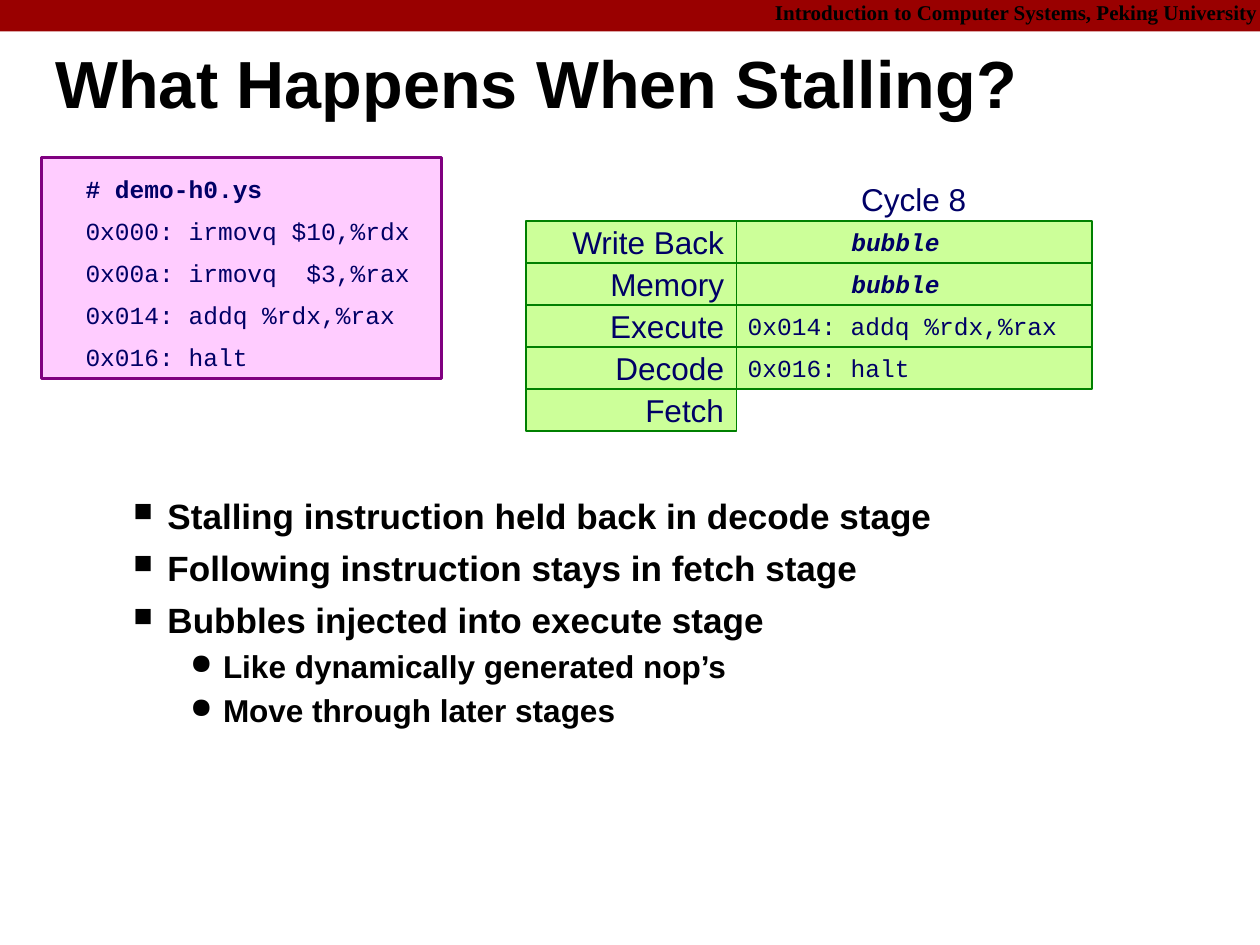
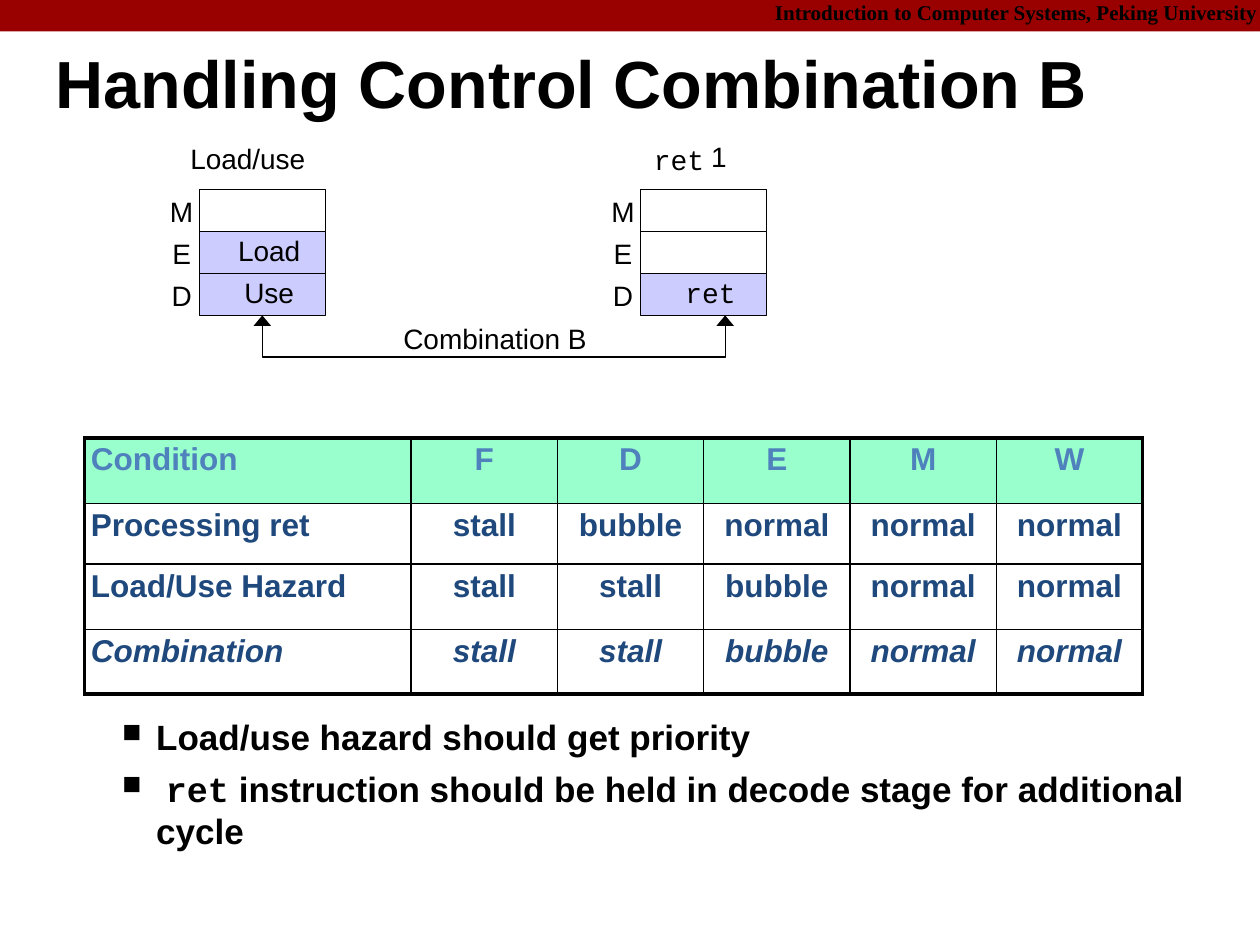
from dataclasses import dataclass
from typing import NamedTuple

import pptx
import pptx.util
from lxml import etree
from pptx.dml.color import RGBColor
from pptx.enum.shapes import MSO_SHAPE
from pptx.enum.text import MSO_ANCHOR, PP_ALIGN
from pptx.oxml.ns import qn

Inches = pptx.util.Inches
Pt = pptx.util.Pt
LEFT, MID, RIGHT = PP_ALIGN.LEFT, PP_ALIGN.CENTER, PP_ALIGN.RIGHT


# Theme
@dataclass(frozen=True)
class Theme:
    sans: str = "Arial"
    mono: str = "Courier New"
    serif: str = "Times New Roman"
    black: str = "000000"
    white: str = "FFFFFF"
    band: str = "990000"
    navy: str = "000066"
    pink: str = "FFCCFF"
    plum: str = "800080"
    lime: str = "CCFF99"
    green: str = "008000"
    lilac: str = "CCCCFF"
    mint: str = "99FFCC"
    blue: str = "4F81BD"
    deep: str = "1F497D"
    title: float = 38
    body: float = 20
    sub: float = 18
    label: float = 16
    code: float = 14
    head: float = 12


T = Theme()


class Box(NamedTuple):
    x: float
    y: float
    w: float
    h: float


class Style(NamedTuple):
    size: float
    color: str = T.black
    face: str = T.sans
    bold: bool = False
    slant: bool = False
    lines: float = 1.0


class Level(NamedTuple):
    left: float
    hang: float
    mark: str
    scale: int
    before: float
    style: Style


class Item(NamedTuple):
    level: Level
    runs: list[tuple[str, str]]


class Stage(NamedTuple):
    name: str
    text: str
    fill: str = T.white


HEAD = Style(T.head, face=T.serif, bold=True, lines=0.9)
TITLE = Style(T.title, bold=True, lines=0.87)
CODE = Style(T.code, T.navy, T.mono)
STAGE = Style(T.sub, T.navy)
LABEL = Style(T.label, lines=0.9)
MONO = LABEL._replace(face=T.mono)
ONE = Level(0.81, 0.27, "■", 75, 5.75, Style(T.body, bold=True))
TWO = Level(1.25, 0.26, "●", 90, 2, Style(T.sub, bold=True, lines=1.07))


# Shared drawing tools
def rgb(color: str) -> RGBColor:
    return RGBColor.from_string(color)


def place(box: Box) -> list[int]:
    return [Inches(v) for v in box]


def dress(para, style: Style, align=LEFT) -> None:
    para.alignment = align
    para.line_spacing = style.lines
    font = para.font
    font.name, font.size = style.face, Pt(style.size)
    font.bold, font.italic = style.bold, style.slant
    font.color.rgb = rgb(style.color)


def write(shape, text: str, style: Style, align=LEFT, left: float = 0.1,
          right: float = 0.1, anchor=MSO_ANCHOR.MIDDLE) -> None:
    frame = shape.text_frame
    frame.word_wrap = True
    frame.vertical_anchor = anchor
    frame.margin_left, frame.margin_right = Inches(left), Inches(right)
    frame.margin_top = frame.margin_bottom = 0
    para = frame.paragraphs[0]
    para.text = text
    dress(para, style, align)


def note(slide, box: Box, text: str, style: Style, align=LEFT, **more) -> None:
    write(slide.shapes.add_textbox(*place(box)), text, style, align, **more)


def label(slide, box: Box, text: str, style: Style = LABEL) -> None:
    note(slide, box, text, style, MID, left=0, right=0, anchor=MSO_ANCHOR.TOP)


def rect(slide, box: Box, fill: str, line: str = "", width: float = 1):
    shape = slide.shapes.add_shape(MSO_SHAPE.RECTANGLE, *place(box))
    shape.shadow.inherit = False
    shape.fill.solid()
    shape.fill.fore_color.rgb = rgb(fill)
    if line:
        shape.line.color.rgb = rgb(line)
        shape.line.width = Pt(width)
    else:
        shape.line.fill.background()
    return shape


def bullets(slide, box: Box, items: list[Item]) -> None:
    frame = slide.shapes.add_textbox(*place(box)).text_frame
    frame.word_wrap = True
    for i, (level, runs) in enumerate(items):
        para = frame.add_paragraph() if i else frame.paragraphs[0]
        props = para._p.get_or_add_pPr()
        props.set("marL", str(Inches(level.left)))
        props.set("indent", str(-Inches(level.hang)))
        etree.SubElement(props, qn("a:buSzPct")).set("val", str(level.scale * 1000))
        etree.SubElement(props, qn("a:buChar")).set("char", level.mark)
        dress(para, level.style)
        if i:
            para.space_before = Pt(level.before)
        for text, face in runs:
            run = para.add_run()
            run.text = text
            if face != level.style.face:
                run.font.name = face


def start(deck, title: str):
    slide = deck.slides.add_slide(deck.slide_layouts[6])
    rect(slide, Box(0, 0, 10, 0.25), T.band)
    note(slide, Box(5.8, -0.03, 4.27, 0.28),
         "Introduction to Computer Systems, Peking University", HEAD, RIGHT)
    note(slide, Box(0.44, 0.27, 9.52, 0.85), title, TITLE, left=0, right=0)
    return slide


# Slide 1: stalling
def stall(deck) -> None:
    slide = start(deck, "What Happens When Stalling?")
    bullets(slide, Box(0.42, 3.87, 9.07, 2.8), [
        Item(ONE, [("Stalling instruction held back in decode stage", T.sans)]),
        Item(ONE, [("Following instruction stays in fetch stage", T.sans)]),
        Item(ONE, [("Bubbles injected into execute stage", T.sans)]),
        Item(TWO, [("Like dynamically generated nop’s", T.sans)]),
        Item(TWO, [("Move through later stages", T.sans)]),
    ])
    step = 1 / 3

    # Program listing
    rect(slide, Box(0.33, 1.25, 3.17, 1.75), T.pink, T.plum, 1.5)
    code = ["# demo-h0.ys", "0x000: irmovq $10,%rdx", "0x00a: irmovq  $3,%rax",
            "0x014: addq %rdx,%rax", "0x016: halt"]
    for i, text in enumerate(code):
        note(slide, Box(0.58, 1.33 + i * step, 2.83, step), text,
             CODE._replace(bold=i == 0))

    # Pipeline stages and what each one holds
    note(slide, Box(5.83, 1.41, 2.83, step), "Cycle 8", STAGE, MID)
    stages = [Stage("Write Back", "bubble"), Stage("Memory", "bubble"),
              Stage("Execute", "0x014: addq %rdx,%rax"),
              Stage("Decode", "0x016: halt"), Stage("Fetch", "")]
    for i, stage in enumerate(stages):
        y = 1.75 + i * step
        if stage.text:
            cell = rect(slide, Box(5.83, y, 2.83, step), T.lime, T.green)
            bub = stage.text == "bubble"
            write(cell, stage.text, CODE._replace(bold=bub, slant=bub),
                  left=0.92 if bub else 0.1)
        name = rect(slide, Box(4.17, y, 1.67, step), T.lime, T.green)
        write(name, stage.name, STAGE, RIGHT)


# Slide 2: combination of hazards
def stack(slide, x: float, style: Style, stages: list[Stage]) -> None:
    step = 1 / 3
    for i, stage in enumerate(stages):
        cell = rect(slide, Box(x, 1.5 + i * step, 1, step), stage.fill, T.black, 0.75)
        if stage.text:
            write(cell, stage.text, style, MID, left=0.11, right=0)
        label(slide, Box(x - 0.28, 1.57 + i * step, 0.28, 0.3), stage.name)


def link(slide, points: list[tuple[float, float]]) -> None:
    spots = [(Inches(x), Inches(y)) for x, y in points]
    pen = slide.shapes.build_freeform(*spots[0])
    pen.add_line_segments(spots[1:], close=False)
    shape = pen.convert_to_shape()
    shape.shadow.inherit = False
    shape.fill.background()
    shape.line.color.rgb = rgb(T.black)
    shape.line.width = Pt(0.75)
    for end in ("a:headEnd", "a:tailEnd"):
        tip = etree.SubElement(shape.line._get_or_add_ln(), qn(end))
        for key, value in (("type", "triangle"), ("w", "lg"), ("len", "med")):
            tip.set(key, value)


def edge(cell, side: str, width: float) -> None:
    line = etree.SubElement(cell._tc.get_or_add_tcPr(), qn("a:ln" + side))
    line.set("w", str(Pt(width)))
    fill = etree.SubElement(line, qn("a:solidFill"))
    etree.SubElement(fill, qn("a:srgbClr")).set("val", T.black)


def grid(slide, box: Box, wide: list[float], high: list[float],
         rows: list[list[str]]) -> None:
    table = slide.shapes.add_table(len(high), len(wide), *place(box)).table
    table.first_row = table.horz_banding = False
    for col, width in zip(table.columns, wide):
        col.width = Inches(width)
    last, end = len(high) - 1, len(wide) - 1
    for r, (row, texts) in enumerate(zip(table.rows, rows)):
        row.height = Inches(high[r])
        style = Style(T.sub, T.deep if r else T.blue, bold=True,
                      slant=r == last, lines=0.95)
        for c, (cell, text) in enumerate(zip(row.cells, texts)):
            outer = {"L": c == 0, "R": c == end, "T": r == 0, "B": r == last}
            for side, rim in outer.items():
                edge(cell, side, 2.25 if rim else 1)
            if r:
                cell.fill.background()
            else:
                cell.fill.solid()
                cell.fill.fore_color.rgb = rgb(T.mint)
            cell.margin_left = cell.margin_right = Inches(0.05)
            cell.margin_top = cell.margin_bottom = Inches(0.05)
            cell.text = text
            dress(cell.text_frame.paragraphs[0], style, MID if c else LEFT)


def combine(deck) -> None:
    slide = start(deck, "Handling Control Combination B")
    bullets(slide, Box(0.33, 5.62, 9.18, 1.6), [
        Item(ONE, [("Load/use hazard should get priority", T.sans)]),
        Item(ONE, [(" ", T.sans), ("ret", T.mono),
                   (" instruction should be held in decode stage for additional cycle",
                    T.sans)]),
    ])

    # Two hazards and the link between them
    label(slide, Box(1.46, 1.15, 1.01, 0.3), "Load/use")
    stack(slide, 1.58, LABEL, [Stage("M", ""), Stage("E", "Load", T.lilac),
                               Stage("D", "Use", T.lilac)])
    label(slide, Box(5.12, 1.16, 0.53, 0.3), "ret", MONO)
    label(slide, Box(5.59, 1.14, 0.22, 0.3), "1")
    stack(slide, 5.08, MONO, [Stage("M", ""), Stage("E", ""),
                              Stage("D", "ret", T.lilac)])
    label(slide, Box(3.1, 2.58, 1.65, 0.24), "Combination B")
    link(slide, [(2.08, 2.5), (2.08, 2.83), (5.75, 2.83), (5.75, 2.5)])

    # Control actions by pipeline register
    grid(slide, Box(0.67, 3.47, 8.4, 2.03), [2.59] + [1.16] * 5,
         [0.52, 0.48, 0.52, 0.51], [
             ["Condition", "F", "D", "E", "M", "W"],
             ["Processing ret", "stall", "bubble", "normal", "normal", "normal"],
             ["Load/Use Hazard", "stall", "stall", "bubble", "normal", "normal"],
             ["Combination", "stall", "stall", "bubble", "normal", "normal"],
         ])


def main() -> None:
    deck = pptx.Presentation()
    deck.slide_width, deck.slide_height = Inches(9.99), Inches(7.49)
    stall(deck)
    combine(deck)
    deck.save("out.pptx")


if __name__ == "__main__":
    main()
